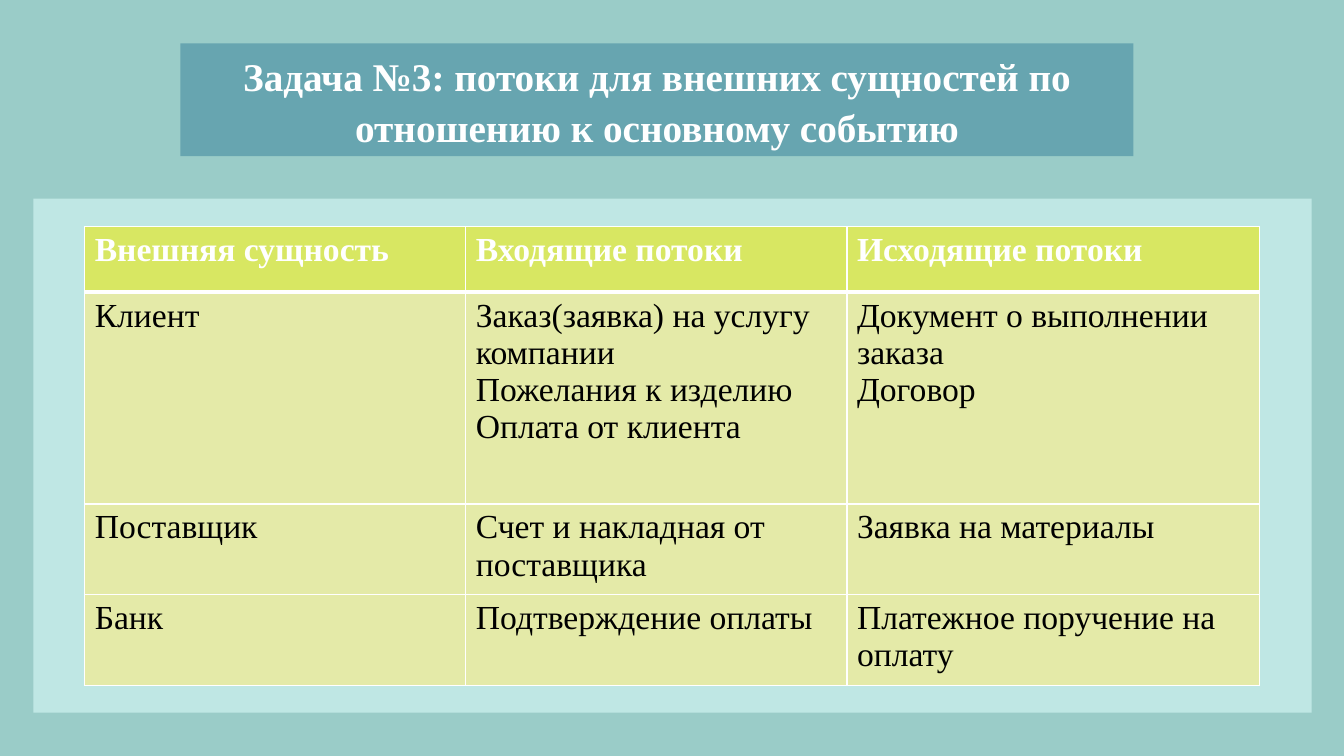
from dataclasses import dataclass

from lxml.etree import SubElement
from pptx import Presentation
from pptx.dml.color import RGBColor
from pptx.enum.shapes import MSO_SHAPE as Shape
from pptx.enum.text import PP_ALIGN as Align
from pptx.oxml.ns import qn
from pptx.util import Pt

PX = 9144  # EMU; 100 px to the inch


@dataclass(frozen=True)
class Theme:
    font: str = "Times New Roman"
    title_size: int = 28
    table_size: int = 24
    backdrop: str = "9ACCC8"
    banner: str = "67A5B0"
    panel: str = "BFE7E4"
    header: str = "D8E762"
    body: str = "E4EAA8"
    white: str = "FFFFFF"
    black: str = "000000"


THEME = Theme()
TITLE = "Задача №3: потоки для внешних сущностей по отношению к основному событию"
FLOWS = [
    ["Внешняя сущность", "Входящие потоки", "Исходящие потоки"],
    ["Клиент",
     "Заказ(заявка) на услугу компании\nПожелания к изделию\nОплата от клиента",
     "Документ о выполнении заказа\nДоговор"],
    ["Поставщик", "Счет и накладная от поставщика", "Заявка на материалы"],
    ["Банк", "Подтверждение оплаты", "Платежное поручение на оплату"],
]
COLUMN_WIDTHS = [378, 378, 409]
ROW_HEIGHTS = [65, 210, 90, 90]


def emu(box):
    return [length * PX for length in box]


def style_text(frame, size, color, bold):
    for para in frame.paragraphs:
        for span in para.runs:
            span.font.name = THEME.font
            span.font.size = Pt(size)
            span.font.bold = bold
            span.font.color.rgb = RGBColor.from_string(color)


def add_panel(slide, box, color):
    panel = slide.shapes.add_shape(Shape.RECTANGLE, *emu(box))
    panel.shadow.inherit = False
    panel.fill.solid()
    panel.fill.fore_color.rgb = RGBColor.from_string(color)
    panel.line.fill.background()


def add_title(slide, box):
    left, top, width, height = box
    add_panel(slide, box, THEME.banner)
    frame = slide.shapes.add_textbox(*emu((left, top, width, height + 39))).text_frame
    frame.word_wrap = True
    frame.text = TITLE
    para = frame.paragraphs[0]
    para.alignment = Align.CENTER
    para.line_spacing = 1.08
    style_text(frame, THEME.title_size, THEME.white, True)


def add_borders(cell, widths):
    """Draw white cell edges; widths maps an edge tag to points."""
    properties = cell._tc.get_or_add_tcPr()
    for position, (edge, width) in enumerate(widths.items()):
        line = SubElement(properties, qn(f"a:{edge}"), w=str(Pt(width)))
        fill = SubElement(line, qn("a:solidFill"))
        SubElement(fill, qn("a:srgbClr"), val=THEME.white)
        properties.remove(line)
        properties.insert(position, line)


def add_flow_table(slide, left, top):
    box = (left, top, sum(COLUMN_WIDTHS), sum(ROW_HEIGHTS))
    table = slide.shapes.add_table(len(FLOWS), len(COLUMN_WIDTHS), *emu(box)).table
    for column, width in zip(table.columns, COLUMN_WIDTHS):
        column.width = width * PX
    for row_index, (row, height) in enumerate(zip(table.rows, ROW_HEIGHTS)):
        row.height = height * PX
        is_header = row_index == 0
        for cell, text in zip(row.cells, FLOWS[row_index]):
            cell.text_frame.text = text
            color = THEME.white if is_header else THEME.black
            style_text(cell.text_frame, THEME.table_size, color, is_header)
            cell.fill.solid()
            fill = THEME.header if is_header else THEME.body
            cell.fill.fore_color.rgb = RGBColor.from_string(fill)
            add_borders(cell, {"lnL": 1, "lnR": 1,
                               "lnT": 3 if row_index == 1 else 1,
                               "lnB": 3 if is_header else 1})


def add_flows_region(slide, box):
    left, top, _, _ = box
    add_panel(slide, box, THEME.panel)
    add_flow_table(slide, left + 51, top + 28)


def main():
    deck = Presentation()
    deck.slide_width, deck.slide_height = emu((1333, 750))
    slide = deck.slides.add_slide(deck.slide_layouts[6])
    slide.background.fill.solid()
    slide.background.fill.fore_color.rgb = RGBColor.from_string("F2F2F2")
    add_panel(slide, (-4, 0, 1337, 750), THEME.backdrop)
    add_title(slide, (179, 43, 945, 112))
    add_flows_region(slide, (33, 197, 1268, 510))
    deck.save("out.pptx")


if __name__ == "__main__":
    main()
